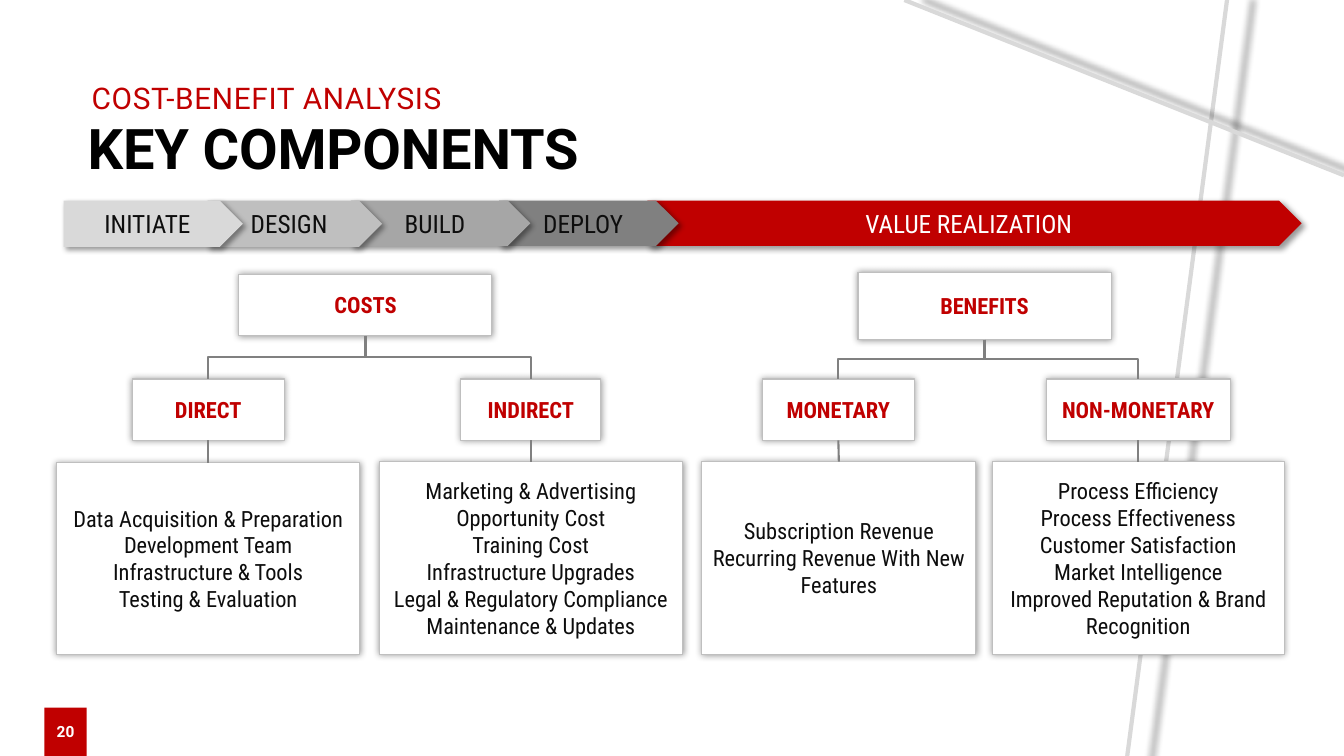
from lxml.etree import SubElement
from pptx import Presentation
from pptx.dml.color import RGBColor
from pptx.enum.shapes import MSO_CONNECTOR, MSO_SHAPE
from pptx.enum.text import MSO_ANCHOR, PP_ALIGN
from pptx.oxml.ns import qn
from pptx.util import Pt

PX = 9144  # 100 px to the inch
COLORS = {
    "red": "C00000", "white": "FFFFFF", "black": "000000", "ink": "0D0D0D",
    "gray1": "D9D9D9", "gray2": "BFBFBF", "gray3": "A6A6A6", "gray4": "808080",
}
RGB = {name: RGBColor.from_string(value) for name, value in COLORS.items()}
GLOW = {"blurRad": Pt(5), "dist": 0, "dir": 0, "algn": "ctr"}
WIDE_GLOW = {**GLOW, "sx": 102000, "sy": 102000}
DROP = {"blurRad": Pt(4), "dist": Pt(3), "dir": 45 * 60000, "algn": "tl"}


def set_shadow(shape, shadow=None):
    """Replace the theme shadow by the given outer shadow, or by none."""
    properties = shape._element.spPr
    effects = properties.find(qn("a:effectLst"))
    if effects is None:
        effects = SubElement(properties, qn("a:effectLst"))
    if shadow:
        outer = SubElement(effects, qn("a:outerShdw"),
                           {key: str(value) for key, value in shadow.items()}, rotWithShape="0")
        color = SubElement(outer, qn("a:srgbClr"), val=COLORS["black"])
        SubElement(color, qn("a:alpha"), val="40000")


def add_block(kind, box, fill, lines, size, color, bold=False,
              font_name="Roboto Condensed", outline=None, shadow=None):
    """Add a filled shape with centred text, one paragraph per line."""
    shape = slide.shapes.add_shape(kind, *(value * PX for value in box))
    shape.fill.solid()
    shape.fill.fore_color.rgb = RGB[fill]
    if outline:
        shape.line.color.rgb = RGB[outline]
        shape.line.width = Pt(0.75)
    else:
        shape.line.fill.background()
    shape.shadow.inherit = False
    set_shadow(shape, shadow)
    frame = shape.text_frame
    frame.word_wrap = True
    frame.vertical_anchor = MSO_ANCHOR.MIDDLE
    for index, line in enumerate(lines):
        paragraph = frame.paragraphs[0] if index == 0 else frame.add_paragraph()
        paragraph.alignment = PP_ALIGN.CENTER
        run = paragraph.add_run()
        run.text = line
        run.font.name = font_name
        run.font.size = Pt(size)
        run.font.bold = bold
        run.font.color.rgb = RGB[color]
    return shape


presentation = Presentation()
presentation.slide_width = 1333 * PX
presentation.slide_height = 750 * PX
slide = presentation.slides.add_slide(presentation.slide_layouts[5])

# Background lines
for ends in [(1118, 750, 1217, 0), (1333, 174, 897, 0)]:
    line = slide.shapes.add_connector(MSO_CONNECTOR.STRAIGHT, *(value * PX for value in ends))
    line.line.color.rgb = RGB["gray1"]
    line.line.width = Pt(3)
    set_shadow(line, WIDE_GLOW)

# Headings
subtitle = slide.shapes.add_textbox(0, 0, PX, PX)
headings = [
    (slide.shapes.title, (87, 112, 763, 68), MSO_ANCHOR.TOP,
     "KEY COMPONENTS", 40, True, "black", -10),
    (subtitle, (91, 78, 370, 37), MSO_ANCHOR.MIDDLE,
     "COST-BENEFIT ANALYSIS", 21.3, False, "red", 50),
]
for shape, box, anchor, text, size, bold, color, spacing in headings:
    shape.left, shape.top, shape.width, shape.height = (value * PX for value in box)
    frame = shape.text_frame
    frame.word_wrap = True
    frame.vertical_anchor = anchor
    frame.margin_left = frame.margin_right = frame.margin_bottom = 0
    frame.margin_top = PX
    paragraph = frame.paragraphs[0]
    paragraph.alignment = PP_ALIGN.LEFT
    run = paragraph.add_run()
    run.text = text
    run.font.name = "Roboto"
    run.font.size = Pt(size)
    run.font.bold = bold
    run.font.color.rgb = RGB[color]
    run._r.get_or_add_rPr().set("spc", str(spacing))

# Phase arrows, from right to left so that each overlaps the next
phases = [
    ("VALUE REALIZATION", 642, 649, 45, "red", "white"),
    ("DEPLOY", 495, 178, 45, "gray4", "ink"),
    ("BUILD", 348, 178, 45, "gray3", "ink"),
    ("DESIGN", 206, 173, 46, "gray2", "ink"),
    ("INITIATE", 63, 178, 46, "gray1", "ink"),
]
for name, left, width, height, fill, color in phases:
    add_block(MSO_SHAPE.PENTAGON, (left, 199, width, height), fill, [name], 18, color,
              shadow=DROP)

# Trees: root, then categories, each with its list of items
trees = [
    ("COSTS", (237, 272, 251, 61), [
        ("DIRECT", (131, 376, 151, 61), (56, 459, 301, 190), [
            "Data Acquisition & Preparation", "Development Team",
            "Infrastructure & Tools", "Testing & Evaluation"]),
        ("INDIRECT", (457, 376, 139, 61), (376, 458, 301, 191), [
            "Marketing & Advertising", "Opportunity Cost", "Training Cost",
            "Infrastructure Upgrades", "Legal & Regulatory Compliance",
            "Maintenance & Updates"]),
    ]),
    ("BENEFITS", (851, 270, 251, 67), [
        ("MONETARY", (756, 376, 151, 61), (696, 458, 272, 191), [
            "Subscription Revenue", "Recurring Revenue With New Features"]),
        ("NON-MONETARY", (1038, 376, 182, 61), (984, 458, 290, 191), [
            "Process Efficiency", "Process Effectiveness", "Customer Satisfaction",
            "Market Intelligence", "Improved Reputation & Brand Recognition"]),
    ]),
]
card = {"outline": "gray2", "shadow": GLOW}
for root_name, root_box, categories in trees:
    root = add_block(MSO_SHAPE.RECTANGLE, root_box, "white", [root_name], 16, "red", True, **card)
    start_x = root.left + root.width // 2
    start_y = root.top + root.height
    for name, box, items_box, items in categories:
        category = add_block(MSO_SHAPE.RECTANGLE, box, "white", [name], 16, "red", True, **card)
        item_list = add_block(MSO_SHAPE.RECTANGLE, items_box, "white", items, 16, "ink", **card)

        # The elbow is laid out sideways and turned, so that it leaves the root downwards
        end_x = category.left + category.width // 2
        middle_x, middle_y = (start_x + end_x) // 2, (start_y + category.top) // 2
        half_drop, half_span = (category.top - start_y) // 2, abs(end_x - start_x) // 2
        side = 1 if end_x < start_x else -1
        elbow = slide.shapes.add_connector(
            MSO_CONNECTOR.ELBOW, middle_x - side * half_drop, middle_y - half_span,
            middle_x + side * half_drop, middle_y + half_span)
        elbow._element.spPr.xfrm.set("rot", str((90 if side == 1 else 270) * 60000))

        stem = slide.shapes.add_connector(MSO_CONNECTOR.STRAIGHT, 0, 0, 0, 0)
        stem.begin_connect(category, 2)
        stem.end_connect(item_list, 0)
        for connector in (elbow, stem):
            connector.line.color.rgb = RGB["gray4"]
            connector.line.width = Pt(1.5)
            set_shadow(connector)

# Page number
add_block(MSO_SHAPE.RECTANGLE, (44, 702, 42, 48), "red", ["20"], 11, "white", True, "Roboto")

presentation.save("out.pptx")
